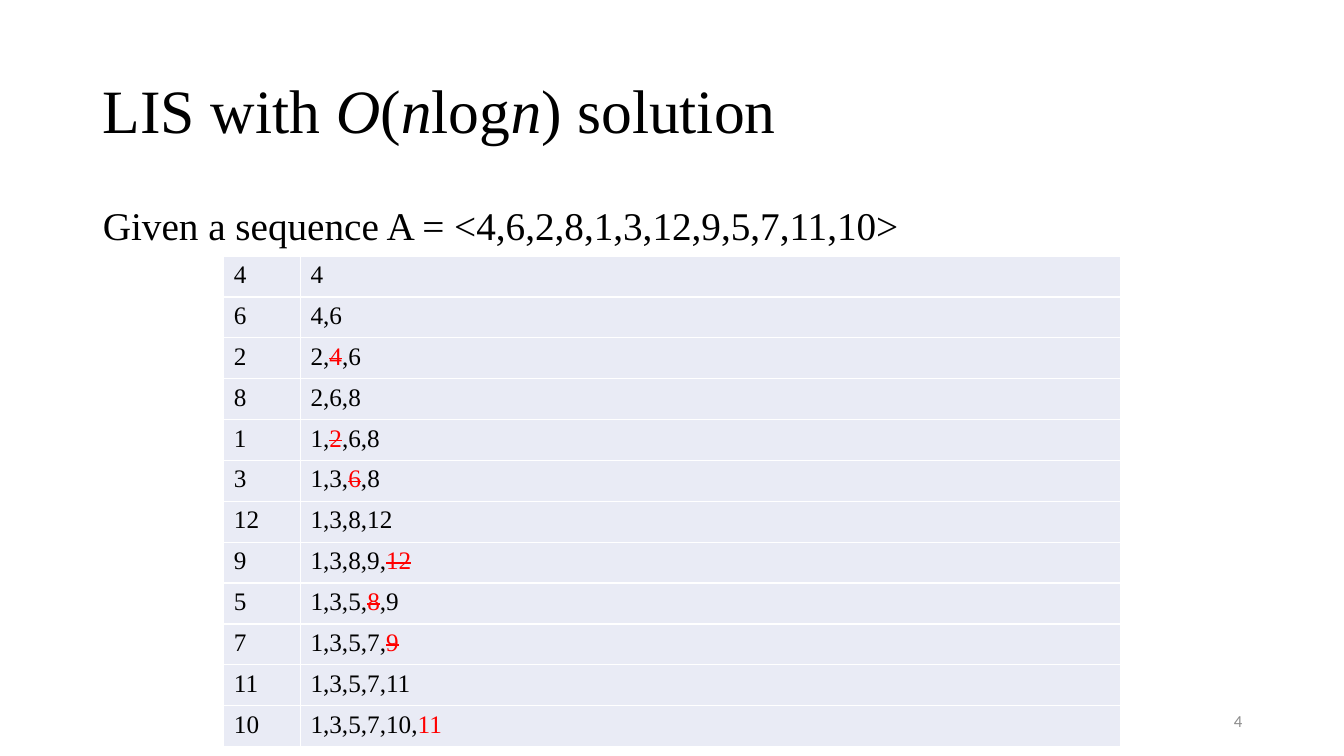
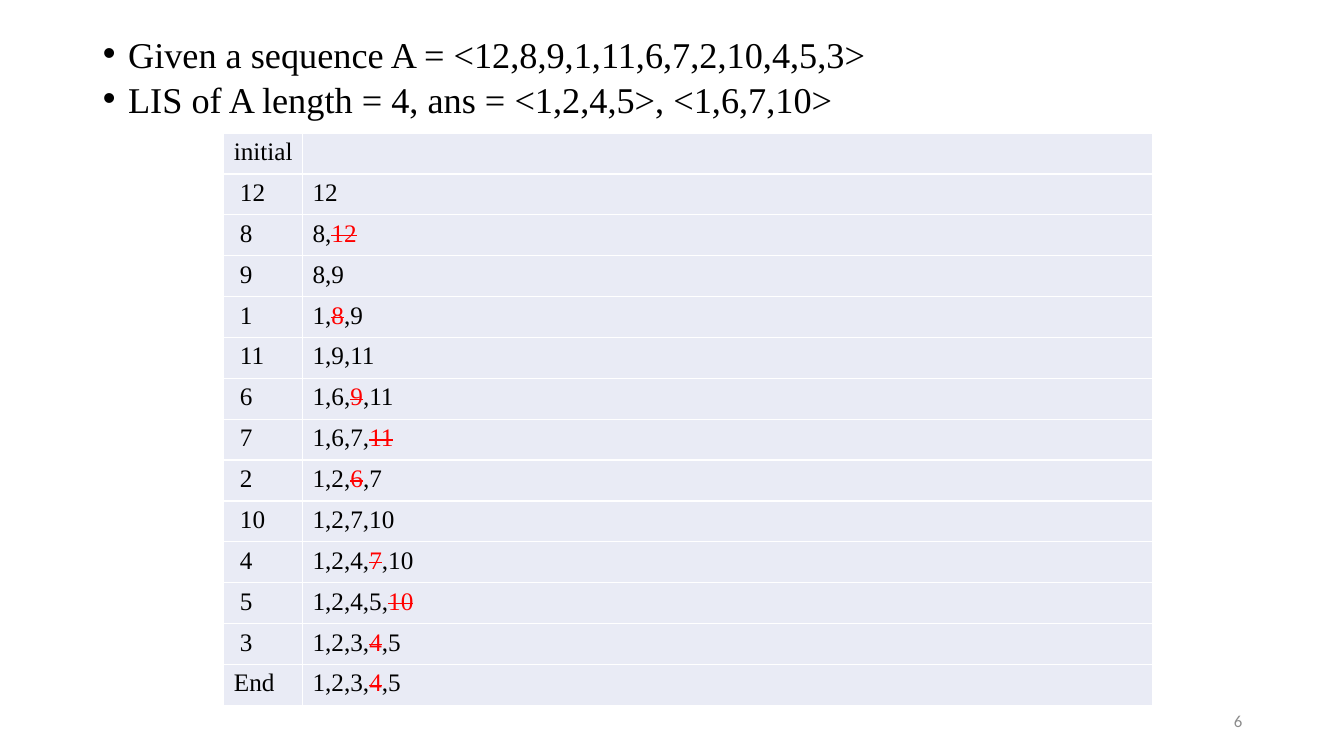
from dataclasses import dataclass

from lxml import etree
from pptx import Presentation
from pptx import util as u
from pptx.dml.color import RGBColor
from pptx.enum import text
from pptx.oxml import ns


@dataclass(frozen=True)
class Theme:
    """Colours, fonts and type sizes shared by the slides."""
    ink: str = "000000"
    replaced: str = "FF0000"
    cell: str = "E9EBF5"
    muted: str = "8C8C8C"
    serif: str = "Times New Roman"
    sans: str = "Calibri"
    title: float = 44
    lead: float = 28
    bullet: float = 25.9
    table: float = 18
    number: float = 12


class Deck:
    """Holds the theme and current slide; '|' splits runs, '_' is italic, '!' red, '~' red and struck."""

    def __init__(self, theme):
        self.theme = theme
        self.prs = Presentation()
        self.prs.slide_width = u.Inches(13.33)
        self.prs.slide_height = u.Inches(7.5)

    def new_slide(self):
        """Start a slide with a title and a body."""
        self.slide = self.prs.slides.add_slide(self.prs.slide_layouts[1])

    def style(self, run, size, color=None, font=None):
        """Format one run."""
        run.font.size = u.Pt(size)
        run.font.name = font or self.theme.serif
        run.font.color.rgb = RGBColor.from_string(color or self.theme.ink)

    def add_runs(self, paragraph, marked, size):
        """Fill a paragraph from marked text."""
        for piece in marked.split("|"):
            mark = piece[:1]
            run = paragraph.add_run()
            run.text = piece.lstrip("_!~")
            self.style(run, size, self.theme.replaced if mark in ("!", "~") else None)
            if mark == "_":
                run.font.italic = True
            if mark == "~":
                run._r.get_or_add_rPr().set("strike", "sngStrike")

    def place(self, shape, left, top, width, height):
        """Move a placeholder and return its text frame."""
        shape.left, shape.top = u.Inches(left), u.Inches(top)
        shape.width, shape.height = u.Inches(width), u.Inches(height)
        shape.text_frame.auto_size = text.MSO_AUTO_SIZE.NONE
        return shape.text_frame

    def title(self, marked):
        """Fill the title, or remove it when there is none."""
        heading = self.slide.shapes.title
        if not marked:
            heading._element.getparent().remove(heading._element)
            return
        frame = self.place(heading, 0.92, 0.4, 11.5, 1.45)
        frame.vertical_anchor = text.MSO_ANCHOR.MIDDLE
        line = frame.paragraphs[0]
        line.alignment = text.PP_ALIGN.LEFT
        line.line_spacing = 0.9
        self.add_runs(line, marked, self.theme.title)

    def body(self, lines, top, height, size, spacing, bulleted=False):
        """Put the lead lines in the body placeholder."""
        frame = self.place(self.slide.placeholders[1], 0.92, top, 11.5, height)
        frame.vertical_anchor = text.MSO_ANCHOR.TOP
        indent = u.Inches(0.25) if bulleted else 0
        for index, content in enumerate(lines):
            line = frame.add_paragraph() if index else frame.paragraphs[0]
            line.line_spacing = spacing
            line.space_before = u.Pt(10 if index else 0)
            props = line._p.get_or_add_pPr()
            props.set("marL", str(indent))
            props.set("indent", str(-indent))
            if bulleted:
                etree.SubElement(props, ns.qn("a:buFont")).set("typeface", "Arial")
                etree.SubElement(props, ns.qn("a:buChar")).set("char", "•")
            else:
                etree.SubElement(props, ns.qn("a:buNone"))
            self.add_runs(line, content, size)

    def steps(self, rows, top, widths, height):
        """Add the table of elements and the sequence after each."""
        frame = self.slide.shapes.add_table(
            len(rows), len(widths), u.Inches(2.22), u.Inches(top),
            u.Inches(sum(widths)), u.Inches(height))
        table = frame.table
        table.first_row = table.horz_banding = False
        for column, width in zip(table.columns, widths):
            column.width = u.Inches(width)
        for r, row in enumerate(rows):
            for c, content in enumerate(row):
                cell = table.cell(r, c)
                cell.fill.solid()
                cell.fill.fore_color.rgb = RGBColor.from_string(self.theme.cell)
                if c == 0:
                    cell.margin_right = u.Inches(0.05)
                if content:
                    self.add_runs(cell.text_frame.paragraphs[0], content, self.theme.table)
        return table

    def number(self, value):
        """Add the slide number."""
        box = self.slide.shapes.add_textbox(
            u.Inches(9.42), u.Inches(6.95), u.Inches(3), u.Inches(0.4))
        frame = box.text_frame
        frame.word_wrap = True
        frame.vertical_anchor = text.MSO_ANCHOR.MIDDLE
        frame.text = str(value)
        line = frame.paragraphs[0]
        line.alignment = text.PP_ALIGN.RIGHT
        self.style(line.runs[0], self.theme.number, self.theme.muted, self.theme.sans)


FIRST_STEPS = [
    ("4", "4"),
    ("6", "4,6"),
    ("2", "2,|~4|,6"),
    ("8", "2,6,8"),
    ("1", "1,|~2|,6,8"),
    ("3", "1,3,|~6|,8"),
    ("12", "1,3,8,12"),
    ("9", "1,3,8,9,|~12"),
    ("5", "1,3,5,|~8|,9"),
    ("7", "1,3,5,7,|~9"),
    ("11", "1,3,5,7,11"),
    ("10", "1,3,5,7,10,|!11"),
]

SECOND_STEPS = [
    ("initial", ""),
    ("12", "12"),
    ("8", "8,|~12"),
    ("9", "8,9"),
    ("1", "1,|~8|,9"),
    ("11", "1,9,11"),
    ("6", "1,6,|~9|,11"),
    ("7", "1,6,7,|~11"),
    ("2", "1,2,|~6|,7"),
    ("10", "1,2,7,10"),
    ("4", "1,2,4,|~7|,10"),
    ("5", "1,2,4,5,|~10"),
    ("3", "1,2,3,|~4|,5"),
    ("End", "1,2,3,|~4|,5"),
]


def main():
    """Build both slides and save them."""
    theme = Theme()
    deck = Deck(theme)

    deck.new_slide()
    deck.title("LIS with |_O|(|_n|log|_n|) solution")
    deck.body(["Given a sequence A = <4,6,2,8,1,3,12,9,5,7,11,10>"],
              2, 0.54, theme.lead, 0.9)
    deck.number(4)
    deck.steps(FIRST_STEPS, 2.54, (0.76, 8.13), 4.87)

    deck.new_slide()
    deck.title("")
    deck.body(["Given a sequence A = <12,8,9,1,11,6,7,2,10,4,5,3>",
               "LIS of A length = 4, ans = <1,2,4,5>, <1,6,7,10>"],
              0.39, 0.93, theme.bullet, 0.7, bulleted=True)
    deck.number(6)
    table = deck.steps(SECOND_STEPS, 1.32, (0.78, 8.43), 5.68)
    for r in range(1, len(SECOND_STEPS) - 1):
        table.cell(r, 0).margin_left = u.Inches(0.16)

    deck.prs.save("out.pptx")


if __name__ == "__main__":
    main()
